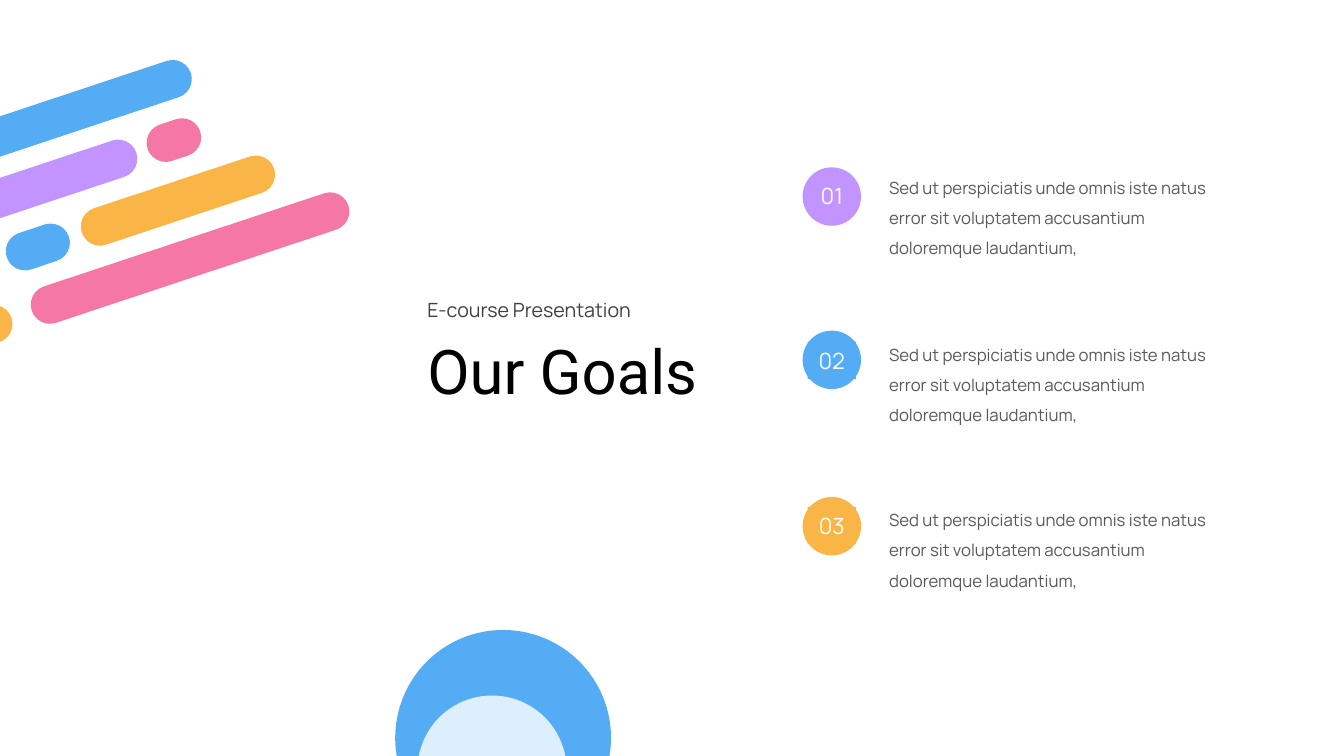
from pptx import Presentation
from pptx.dml.color import RGBColor
from pptx.enum.shapes import MSO_SHAPE
from pptx.enum.text import MSO_AUTO_SIZE, PP_ALIGN
from pptx.util import Inches, Pt

WHITE = RGBColor(0xFF, 0xFF, 0xFF)
BLACK = RGBColor(0x00, 0x00, 0x00)
DARK_GRAY = RGBColor(0x40, 0x40, 0x40)
GRAY = RGBColor(0x59, 0x59, 0x59)
PURPLE = RGBColor(0xC2, 0x94, 0xFF)
BLUE = RGBColor(0x54, 0xAD, 0xF4)
LIGHT_BLUE = RGBColor(0xDD, 0xEF, 0xFD)
ORANGE = RGBColor(0xF9, 0xB5, 0x45)
PINK = RGBColor(0xF5, 0x77, 0xA5)

GOAL_TEXT = ("Sed ut perspiciatis unde omnis iste natus error sit voluptatem "
             "accusantium doloremque laudantium,")
GOALS = [
    ("01", PURPLE, 1.66, 0.42, 1.76, 1.61),
    ("02", BLUE, 3.28, 0.48, 3.39, 3.27),
    ("03", ORANGE, 4.93, 0.48, 5.03, 4.91),
]
BARS = [
    (-0.3, 0.89, 2.25, BLUE),
    (-0.84, 1.68, 2.25, PURPLE),
    (1.45, 1.2, 0.55, PINK),
    (0.76, 1.8, 2.01, ORANGE),
    (0.05, 2.26, 0.65, BLUE),
    (0.23, 2.37, 3.31, PINK),
    (-0.48, 3.06, 0.61, ORANGE),
]


class SlideBuilder:
    body_font = "Manrope"
    title_font = "Roboto"
    bar_height = 0.38
    bar_rotation = 341.6
    badge_size = 0.58
    badge_center = 8.25

    def __init__(self, slide):
        self.slide = slide

    def shape(self, kind, left, top, width, height, color):
        shape = self.slide.shapes.add_shape(
            kind, Inches(left), Inches(top), Inches(width), Inches(height))
        shape.shadow.inherit = False
        shape.fill.solid()
        shape.fill.fore_color.rgb = color
        shape.line.fill.background()
        return shape

    def circle(self, left, top, size, color):
        self.shape(MSO_SHAPE.OVAL, left, top, size, size, color)

    def bar(self, left, top, width, color):
        shape = self.shape(MSO_SHAPE.ROUNDED_RECTANGLE, left, top, width,
                           self.bar_height, color)
        shape.adjustments[0] = 0.5
        shape.rotation = self.bar_rotation

    def text(self, text, left, top, width, height, size, color, font=body_font,
             wrap=False, align=PP_ALIGN.LEFT, line_spacing=1.0):
        box = self.slide.shapes.add_textbox(
            Inches(left), Inches(top), Inches(width), Inches(height))
        frame = box.text_frame
        frame.word_wrap = wrap
        frame.auto_size = MSO_AUTO_SIZE.SHAPE_TO_FIT_TEXT
        paragraph = frame.paragraphs[0]
        paragraph.text = text
        paragraph.alignment = align
        paragraph.line_spacing = line_spacing
        paragraph.font.name = font
        paragraph.font.size = Pt(size)
        paragraph.font.color.rgb = color
        return box

    def goal(self, number, color, badge_top, label_width, label_top, text_top):
        self.circle(self.badge_center - self.badge_size / 2, badge_top,
                    self.badge_size, color)
        label = self.text(number, self.badge_center - label_width / 2, label_top,
                          label_width, 0.37, 16, WHITE, align=PP_ALIGN.CENTER)
        label.fill.solid()
        label.fill.fore_color.rgb = color
        self.text(GOAL_TEXT, 8.72, text_top, 3.6, 0.98, 12, GRAY,
                  wrap=True, line_spacing=1.5)


def main():
    presentation = Presentation()
    presentation.slide_width = Inches(13.33)
    presentation.slide_height = Inches(7.5)
    slide = presentation.slides.add_slide(presentation.slide_layouts[6])
    builder = SlideBuilder(slide)

    for goal in GOALS:
        builder.goal(*goal)
    for bar in BARS:
        builder.bar(*bar)

    builder.text("Our Goals", 4.14, 3.25, 3.11, 0.84, 44, BLACK,
                 font=builder.title_font)
    builder.text("E-course Presentation", 4.14, 2.91, 2.4, 0.34, 14, DARK_GRAY)
    builder.circle(3.92, 6.25, 2.14, BLUE)
    builder.circle(4.14, 6.9, 1.48, LIGHT_BLUE)

    presentation.save("out.pptx")


if __name__ == "__main__":
    main()
